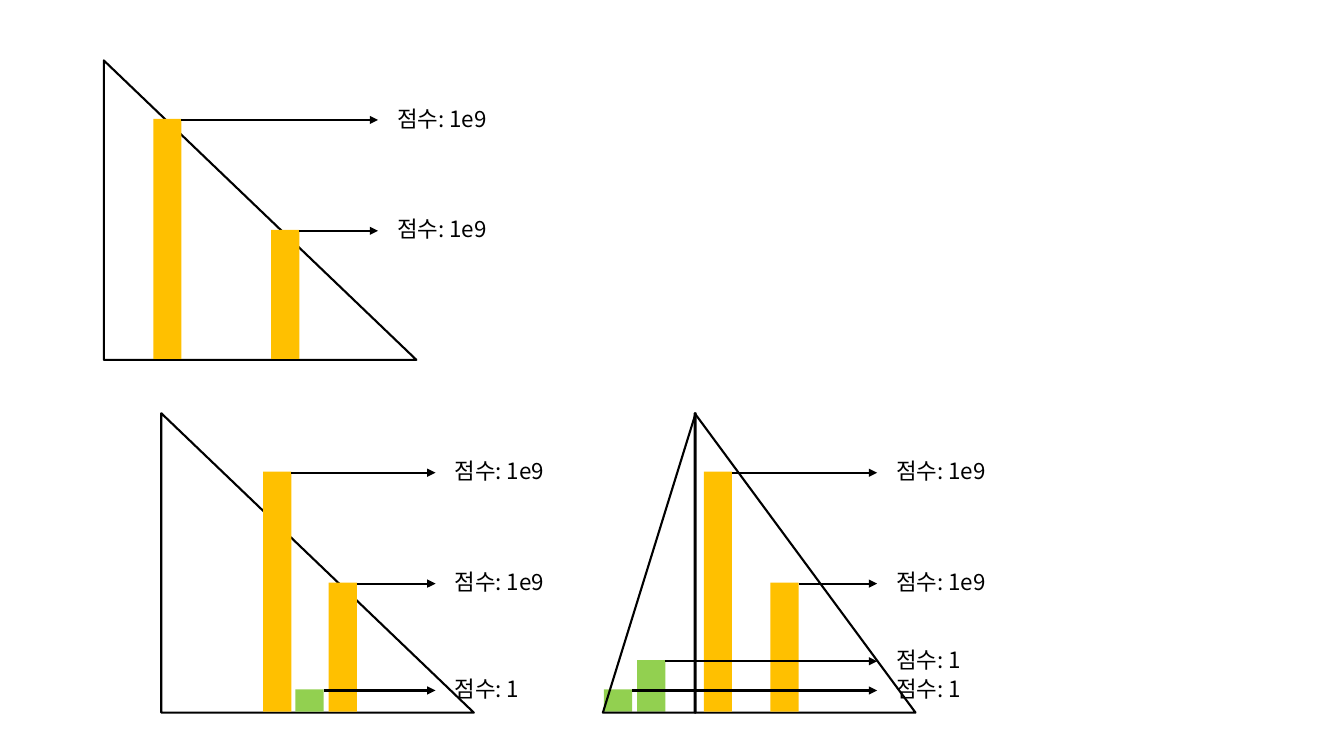
from dataclasses import dataclass

from lxml.etree import SubElement
from pptx import Presentation
from pptx.dml.color import RGBColor as RGB
from pptx.enum.shapes import MSO_CONNECTOR as CONN, MSO_SHAPE as SHAPE
from pptx.oxml.ns import qn
from pptx.util import Emu, Pt


@dataclass(frozen=True)
class Theme:
    ink: RGB = RGB(0, 0, 0)
    paper: RGB = RGB(255, 255, 255)
    gold: RGB = RGB(0xFF, 0xC0, 0x00)
    green: RGB = RGB(0x92, 0xD0, 0x50)
    font: str = "Noto Sans CJK KR"
    label_size: float = 16
    line_width: float = 1.5


def px(n):
    """One px is a hundredth of an inch."""
    return Emu(n * 9144)


class Canvas:
    def __init__(self, slide, theme):
        self.s, self.theme = slide, theme

    def triangle(self, x, y, w, h, mirrored=False):
        sp = self.s.shapes.add_shape(SHAPE.RIGHT_TRIANGLE, px(x), px(y), px(w), px(h))
        sp.shadow.inherit = False
        sp.line.color.rgb = self.theme.ink
        sp.line.width = Pt(self.theme.line_width)
        if mirrored:
            sp.fill.background()
            sp._element.spPr.find(qn("a:xfrm")).set("flipH", "1")
        else:
            sp.fill.solid()
            sp.fill.fore_color.rgb = self.theme.paper

    def bar(self, x, y, w, h, color):
        sp = self.s.shapes.add_shape(SHAPE.RECTANGLE, px(x), px(y), px(w), px(h))
        sp.shadow.inherit = False
        sp.fill.solid()
        sp.fill.fore_color.rgb = color
        sp.line.fill.background()

    def arrow(self, x1, x2, y):
        c = self.s.shapes.add_connector(CONN.STRAIGHT, px(x1), px(y), px(x2), px(y))
        c.line.color.rgb = self.theme.ink
        c.line.width = Pt(self.theme.line_width)
        SubElement(c.line._get_or_add_ln(), qn("a:tailEnd"), type="triangle")
        SubElement(c._element.spPr, qn("a:effectLst"))

    def label(self, x, y, w, h, text):
        tf = self.s.shapes.add_textbox(px(x), px(y), px(w), px(h)).text_frame
        tf.word_wrap = True
        tf.text = text
        r = tf.paragraphs[0].runs[0]
        r.font.name = self.theme.font
        r.font.size = Pt(self.theme.label_size)
        r.font.color.rgb = self.theme.ink
        SubElement(r.font._element, qn("a:ea"), typeface=self.theme.font)


TRIANGLE_H, BASE, BAR_W = 297, 296, 28
TALL, MIDDLE, LOW, LOWEST = 238, 128, 51, 22

# Each panel: triangle left, top and width, mirrored width, arrow end, bars (left, height)
PANELS = [
    (160, 410, 310, 0, 432, [(261, TALL), (326, MIDDLE), (293, LOWEST)]),
    (689, 410, 219, 92, 870,
     [(698, TALL), (764, MIDDLE), (599, LOWEST), (632, LOW)]),
    (103, 60, 310, 0, 375, [(152, TALL), (269, MIDDLE)]),
]


def draw_panel(canvas, left, top, width, mirrored_width, arrow_end, bars):
    theme = canvas.theme
    canvas.triangle(left, top, width, TRIANGLE_H)

    # Bars stand on the base of the triangle
    for x, h in bars:
        color = theme.gold if h >= MIDDLE else theme.green
        canvas.bar(x, top + BASE - h, BAR_W, h, color)
    if mirrored_width:
        canvas.triangle(left - mirrored_width + 1, top, mirrored_width, TRIANGLE_H,
                        mirrored=True)

    # Each bar's top points to its score
    for x, h in bars:
        y = top + BASE - h + 1
        score, label_w = ("1e9", 110) if h >= MIDDLE else ("1", 114)
        canvas.arrow(x + BAR_W, arrow_end, y)
        canvas.label(arrow_end + 9, y - 20, label_w, 37, f"점수: {score}")


def main():
    prs = Presentation()
    prs.slide_width, prs.slide_height = px(1333), px(750)
    canvas = Canvas(prs.slides.add_slide(prs.slide_layouts[6]), Theme())
    for panel in PANELS:
        draw_panel(canvas, *panel)
    prs.save("out.pptx")


if __name__ == "__main__":
    main()
